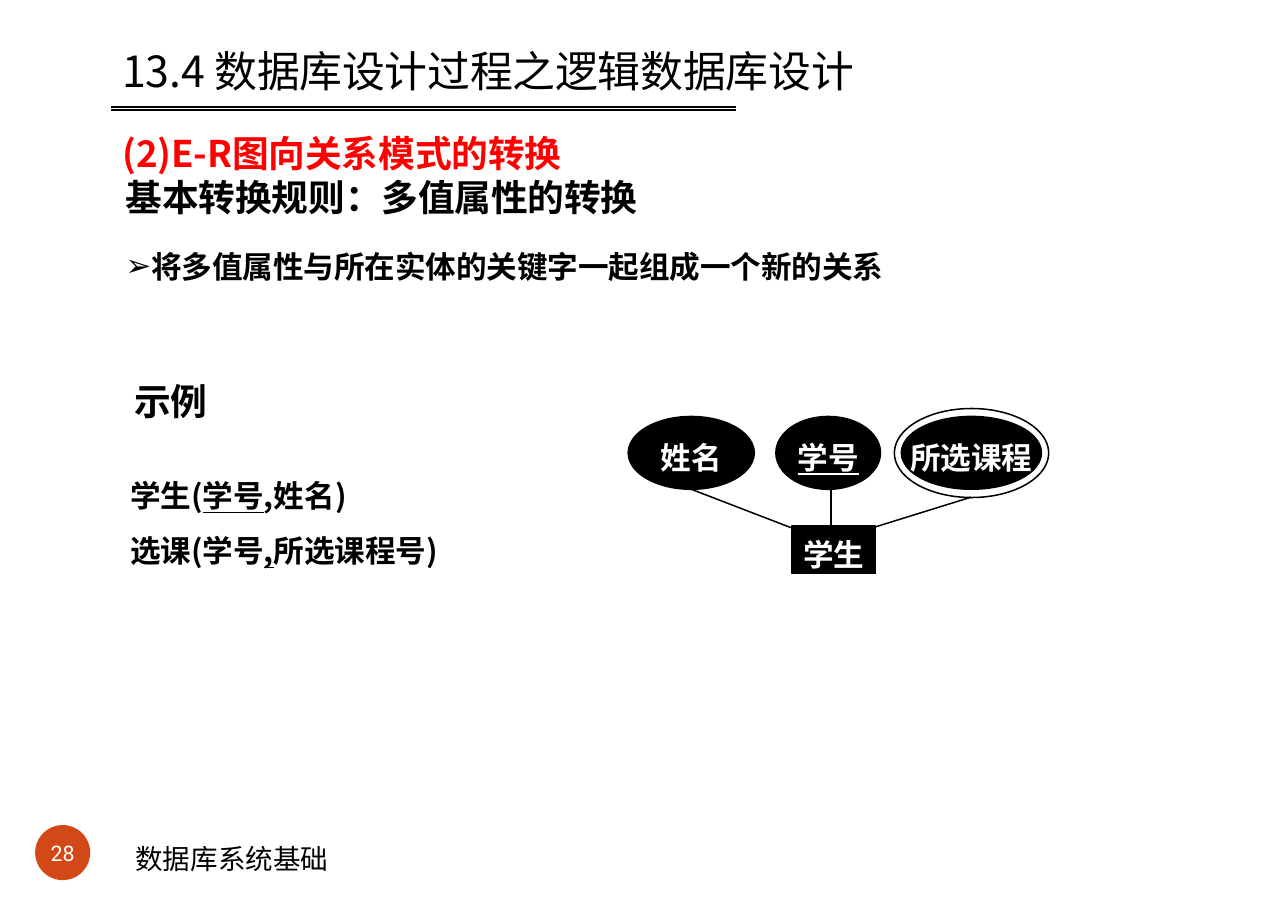
"""Builds a slide on converting multivalued attributes of an E-R diagram."""
from lxml import etree
from pptx import Presentation
from pptx.dml.color import RGBColor
from pptx.enum import shapes, text
from pptx.oxml import ns
from pptx.util import Pt

COLORS = {"ink": "000000", "paper": "FFFFFF", "heading": "FF0000", "badge": "D34817"}
SANS = "Noto Sans CJK SC"
TITLE_FONT = "Noto Sans CJK TC"
OVAL = shapes.MSO_SHAPE.OVAL
RECT = shapes.MSO_SHAPE.RECTANGLE
LEFT, CENTER = text.PP_ALIGN.LEFT, text.PP_ALIGN.CENTER
TOP, MIDDLE = text.MSO_ANCHOR.TOP, text.MSO_ANCHOR.MIDDLE


class Deck:
    def __init__(self, width, height):
        self.prs = Presentation()
        self.prs.slide_width, self.prs.slide_height = Pt(width), Pt(height)
        self.s = self.prs.slides.add_slide(self.prs.slide_layouts[1])

    def color(self, name):
        return RGBColor.from_string(COLORS[name])

    def place(self, sp, box):
        sp.left, sp.top, sp.width, sp.height = (Pt(v) for v in box)

    def frame(self, tf, anchor=TOP, wrap=True, inset=0, top=0):
        tf.word_wrap, tf.vertical_anchor = wrap, anchor
        tf.auto_size = text.MSO_AUTO_SIZE.NONE
        tf.margin_left = tf.margin_right = tf.margin_bottom = Pt(inset)
        tf.margin_top = Pt(inset + top)

    def style(self, p, size, color="ink", font=SANS, bold=True, align=LEFT,
              line=None, before=0, spacing=-10):
        p.alignment, p.space_before = align, Pt(before)
        if line:
            p.line_spacing = Pt(line)
        for r in p.runs:
            r.font.size, r.font.bold, r.font.name = Pt(size), bold, font
            r.font.color.rgb = self.color(color)
            rpr = r.font._element
            rpr.set("spc", str(spacing))
            ea = etree.Element(ns.qn("a:ea"), typeface=font)
            rpr.find(ns.qn("a:latin")).addnext(ea)

    def bullet(self, p, margin, indent=0, char=None):
        ppr = p._p.get_or_add_pPr()
        ppr.set("marL", str(Pt(margin)))
        ppr.set("indent", str(Pt(indent)))
        if char:
            etree.SubElement(ppr, ns.qn("a:buFont"), typeface="Arial")
            etree.SubElement(ppr, ns.qn("a:buChar"), char=char)
        else:
            etree.SubElement(ppr, ns.qn("a:buNone"))

    def title(self, box, number_line, heading):
        sp = self.s.shapes.title
        self.place(sp, box)
        tf = sp.text_frame
        self.frame(tf)
        tf.text = f"{number_line}\n{heading}"
        first, second = tf.paragraphs
        self.style(first, 28, font=TITLE_FONT, bold=False, line=36)
        self.style(second, 24, "heading", TITLE_FONT, line=28.5, before=23)

    def body(self, box, items):
        sp = self.s.placeholders[1]
        self.place(sp, box)
        tf = sp.text_frame
        self.frame(tf)
        tf.text = "\n".join(item[0] for item in items)
        for p, (_, size, line, before, margin, indent, char) in zip(tf.paragraphs, items):
            self.style(p, size, line=line, before=before)
            self.bullet(p, margin, indent, char)

    def relations(self, box, rows):
        tf = self.s.shapes.add_textbox(*(Pt(v) for v in box)).text_frame
        self.frame(tf)
        for i, row in enumerate(rows):
            p = tf.add_paragraph() if i else tf.paragraphs[0]
            for words, underline in row:
                r = p.add_run()
                r.text, r.font.underline = words, underline
            self.style(p, 20, line=36)

    def label(self, box, words, size, font):
        tf = self.s.shapes.add_textbox(*(Pt(v) for v in box)).text_frame
        self.frame(tf, inset=3.6)
        tf.margin_left = Pt(7.2)
        tf.text = words
        self.style(tf.paragraphs[0], size, font=font, bold=False, spacing=0)

    def shape(self, kind, box, fill=None, line=None):
        sp = self.s.shapes.add_shape(kind, *(Pt(v) for v in box))
        sp.shadow.inherit = False
        if fill:
            sp.fill.solid()
            sp.fill.fore_color.rgb = self.color(fill)
        else:
            sp.fill.background()
        if line:
            sp.line.color.rgb, sp.line.width = self.color(line), Pt(1)
        else:
            sp.line.fill.background()
        return sp

    def node(self, kind, box, words, underline=False):
        tf = self.shape(kind, box, "ink", "ink").text_frame
        self.frame(tf, MIDDLE, wrap=False, top=6)
        tf.text = words
        p = tf.paragraphs[0]
        p.runs[0].font.underline = underline
        self.style(p, 20, "paper", align=CENTER, line=23.8)

    def badge(self, box, words):
        tf = self.shape(OVAL, box, "badge").text_frame
        self.frame(tf, MIDDLE, wrap=False)
        tf.text = words
        self.style(tf.paragraphs[0], 14, "paper", "Roboto", False, CENTER, spacing=0)

    def line(self, *ends):
        c = self.s.shapes.add_connector(shapes.MSO_CONNECTOR.STRAIGHT, *(Pt(v) for v in ends))
        c.line.color.rgb, c.line.width = self.color("ink"), Pt(1)
        etree.SubElement(c._element.spPr, ns.qn("a:effectLst"))


def main():
    deck = Deck(841.68, 595.44)
    deck.title((80, 26.6, 682, 90), "13.4 数据库设计过程之逻辑数据库设计", "(2)E-R图向关系模式的转换")
    for y in (69.8, 72):
        deck.line(72.7, y, 481, y)
    deck.body((80.6, 112.3, 498, 166), [
        ("基本转换规则：多值属性的转换", 24, 31, 0, 1.5, 0, None),
        ("将多值属性与所在实体的关键字一起组成一个新的关系", 20, 24, 18.8, 17.5, -16, "➢"),
        ("示例", 24, 30, 60, 7.2, 0, None),
    ])
    deck.relations((85, 300, 203, 108), [
        [("学生(", False), ("学号", True), (",姓名)", False)],
        [("选课(学号", False), (",", True), ("所选课程号)", False)],
    ])

    deck.line(451.5, 319.7, 520.5, 346.3)
    deck.line(543, 319.7, 543, 346.3)
    deck.line(634.5, 325, 566, 346.3)
    deck.shape(OVAL, (584.5, 267, 100.8, 58.2), line="ink")
    for x, width, words, key in (
        (410.5, 82.4, "姓名", False),
        (507, 68.4, "学号", True),
        (589, 91.6, "所选课程", False),
    ):
        deck.node(OVAL, (x, 272.2, width, 47.6), words, key)
    deck.node(RECT, (517.7, 343.7, 54.6, 31.2), "学生")

    deck.badge((23, 539.3, 36, 36), "28")
    deck.label((81.4, 546.5, 183.6, 28.8), "数据库系统基础", 18, "Calibri")
    deck.prs.save("out.pptx")


if __name__ == "__main__":
    main()
